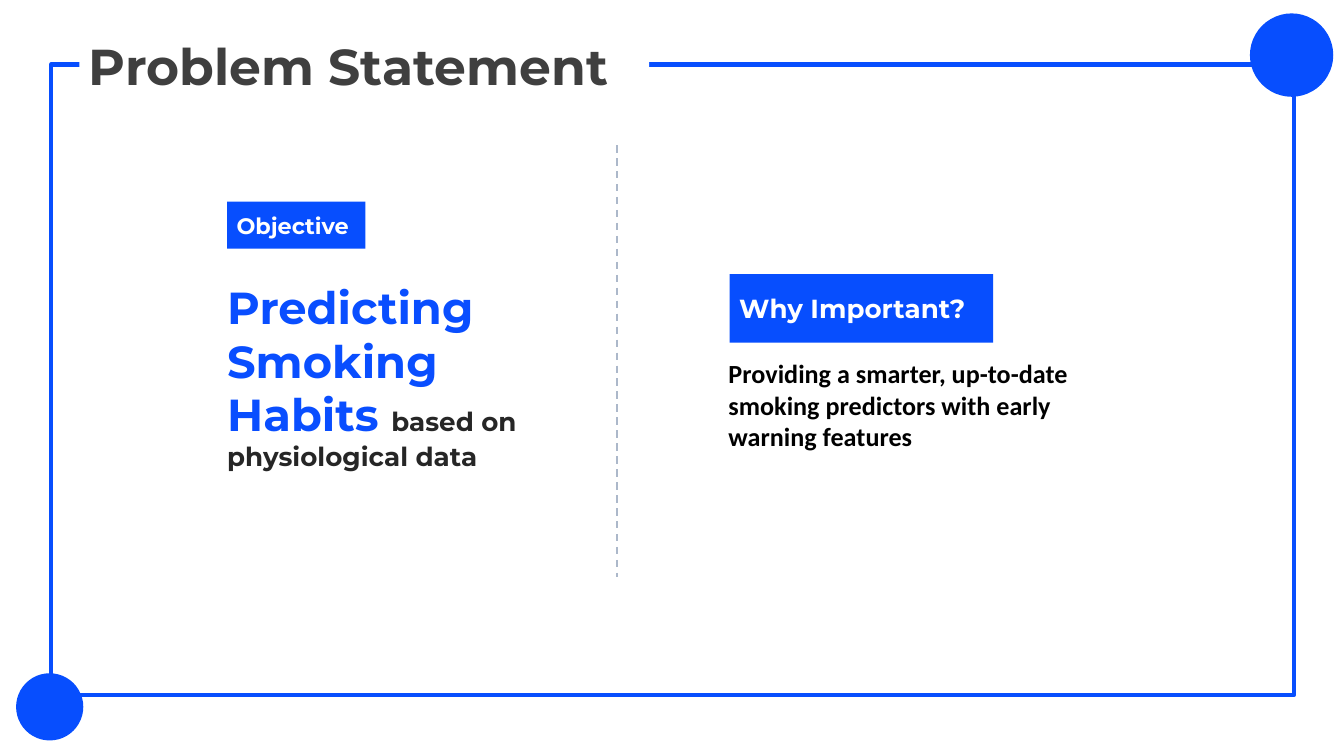
from pptx import Presentation
from pptx.dml.color import RGBColor as RGB
from pptx.enum.dml import MSO_LINE
from pptx.enum.shapes import MSO_CONNECTOR, MSO_SHAPE as SHAPE
from pptx.enum.text import MSO_ANCHOR as ANCHOR, PP_ALIGN
from pptx.util import Inches, Pt
from lxml.etree import SubElement
from pptx.oxml.ns import qn

THEME = {
    "blue": "074EFE", "accent": "094EFF", "white": "FFFFFF", "black": "000000",
    "title": "3F3F3F", "body": "262626", "divider": "ACB8CA",
    "head": "Montserrat", "text": "Calibri",
    "xl": 27, "lg": 24, "md": 14, "sm": 12,
}

prs = Presentation()
prs.slide_width = Inches(10)
prs.slide_height = prs.slide_width * 9 // 16
s = prs.slides.add_slide(prs.slide_layouts[6])
CELL = prs.slide_width // 100  # square grid, 100 columns across


def grid(*cells):
    return [round(c * CELL) for c in cells]


def write(sp, paragraphs, anchor=ANCHOR.TOP):
    """Fill a shape with paragraphs of (text, size, colour, font) runs, named as in THEME."""
    tf = sp.text_frame
    frame = {"word_wrap": True, "vertical_anchor": anchor,
             "margin_left": Inches(0.07), "margin_right": Inches(0.07),
             "margin_top": Inches(0.04), "margin_bottom": Inches(0.04)}
    for name, value in frame.items():
        setattr(tf, name, value)
    for i, runs in enumerate(paragraphs):
        p = tf.add_paragraph() if i else tf.paragraphs[0]
        p.alignment = PP_ALIGN.LEFT
        for text, size, colour, font in runs:
            r = p.add_run()
            r.text = text
            for name, value in {"size": Pt(THEME[size]), "name": THEME[font], "bold": True}.items():
                setattr(r.font, name, value)
            r.font.color.rgb = RGB.from_string(THEME[colour])


# Frame
frame = s.shapes.add_shape(SHAPE.RECTANGLE, *grid(3.8, 4.8, 92.5, 46.9))
frame.shadow.inherit = False
frame.fill.background()
frame.line.color.rgb = RGB.from_string(THEME["blue"])
frame.line.width = Pt(2.25)

# Divider between the two columns
divider = s.shapes.add_connector(MSO_CONNECTOR.STRAIGHT, *grid(45.9, 10.8, 45.9, 42.9))
divider.line.color.rgb = RGB.from_string(THEME["divider"])
divider.line.width = Pt(1)
divider.line.dash_style = MSO_LINE.DASH
SubElement(divider._element.spPr, qn("a:effectLst"))

# Corner dots, title and labels: preset, cells, fill, anchor, paragraphs
blocks = [
    (SHAPE.OVAL, (93, 1, 6.2, 6.2), "blue", ANCHOR.MIDDLE, []),
    (SHAPE.OVAL, (1.2, 50.1, 5, 5), "blue", ANCHOR.MIDDLE, []),
    (SHAPE.RECTANGLE, (5.9, 2.2, 42.4, 5.3), "white", ANCHOR.TOP,
     [[("Problem Statement", "xl", "title", "head")]]),
    (SHAPE.RECTANGLE, (16.9, 15, 10.3, 3.5), "blue", ANCHOR.MIDDLE,
     [[("Objective", "sm", "white", "head")]]),
    (SHAPE.RECTANGLE, (54.3, 20.4, 19.6, 5.1), "blue", ANCHOR.MIDDLE,
     [[("Why Important?", "md", "white", "head")]]),
]
for preset, cells, fill, anchor, paragraphs in blocks:
    sp = s.shapes.add_shape(preset, *grid(*cells))
    sp.shadow.inherit = False
    sp.fill.solid()
    sp.fill.fore_color.rgb = RGB.from_string(THEME[fill])
    sp.line.fill.background()
    write(sp, paragraphs, anchor)

# Body text of each column
bodies = [
    ((16.2, 20.4, 24.9, 15.2),
     [[("Predicting Smoking", "lg", "accent", "head")],
      [("Habits ", "lg", "accent", "head"),
       ("based on physiological data", "md", "body", "head")]]),
    ((53.5, 26.2, 30.9, 7.8),
     [[("Providing a smarter, up-to-date smoking predictors with early warning features",
        "md", "black", "text")]]),
]
for cells, paragraphs in bodies:
    write(s.shapes.add_textbox(*grid(*cells)), paragraphs)

prs.save("out.pptx")
